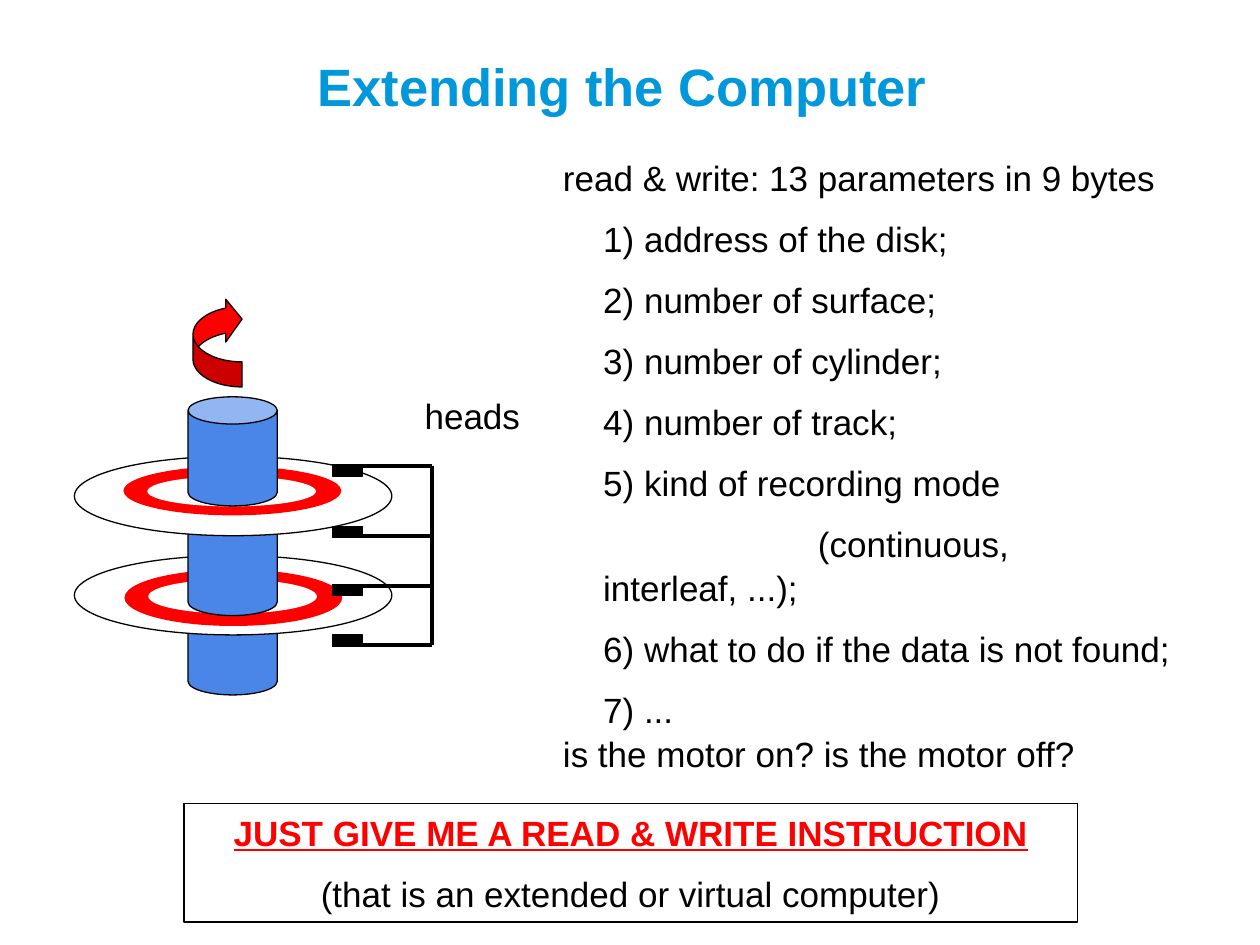
"""Build a slide about a disk drive as an extended computer."""
from pptx import Presentation
from pptx.dml.color import RGBColor
from pptx.enum.shapes import MSO_CONNECTOR, MSO_SHAPE
from pptx.enum.text import MSO_ANCHOR, PP_ALIGN
from pptx.oxml.ns import qn
from pptx.util import Cm, Pt
from lxml import etree

BLACK, WHITE, RED, BLUE, TITLE_BLUE = "000000", "FFFFFF", "FF0000", "4A86E8", "0098DB"


def colour(hex_code):
    return RGBColor.from_string(hex_code)


class DiskSlide:
    font, size, line_spacing, gap = "Arial", 20, 1.04, 10

    def __init__(self, presentation):
        self.slide = presentation.slides.add_slide(presentation.slide_layouts[6])

    def fill_text(self, shape, lines, size=None, ink=BLACK, bold=None, align=PP_ALIGN.LEFT):
        text_frame = shape.text_frame
        text_frame.word_wrap = True
        text_frame.vertical_anchor = MSO_ANCHOR.TOP
        text_frame.text = "\n".join(lines)
        for index, paragraph in enumerate(text_frame.paragraphs):
            paragraph.alignment = align
            paragraph.line_spacing = self.line_spacing
            paragraph.space_before = Pt(self.gap if index else 0)
            for run in paragraph.runs:
                run.font.name = self.font
                run.font.size = Pt(size or self.size)
                run.font.bold = bold
                run.font.color.rgb = colour(ink)
        return text_frame.paragraphs

    def text(self, left, top, width, height, *lines, **style):
        box = self.slide.shapes.add_textbox(Cm(left), Cm(top), Cm(width), Cm(height))
        return self.fill_text(box, lines, **style)

    def shape(self, kind, left, top, width, height, fill=None, outline=BLACK, adjustments=()):
        shape = self.slide.shapes.add_shape(kind, Cm(left), Cm(top), Cm(width), Cm(height))
        shape.shadow.inherit = False
        if fill:
            shape.fill.solid()
            shape.fill.fore_color.rgb = colour(fill)
        else:
            shape.fill.background()
        if outline:
            shape.line.color.rgb = colour(outline)
            shape.line.width = Pt(0.75)
        else:
            shape.line.fill.background()
        for index, value in enumerate(adjustments):
            shape.adjustments[index] = value
        return shape

    def line(self, left, top, right, bottom):
        connector = self.slide.shapes.add_connector(
            MSO_CONNECTOR.STRAIGHT, Cm(left), Cm(top), Cm(right), Cm(bottom))
        connector.line.color.rgb = colour(BLACK)
        connector.line.width = Pt(2.25)
        etree.SubElement(connector._element.spPr, qn("a:effectLst"))

    def spindle(self, top):
        self.shape(MSO_SHAPE.CAN, 3.79, top, 1.8, 2.2, BLUE, adjustments=[0.305])

    def platter(self, top, ring, hole):
        self.shape(MSO_SHAPE.OVAL, 1.5, top, 6.4, 1.6, WHITE)
        self.shape(MSO_SHAPE.OVAL, *ring, fill=RED, outline=None)
        self.shape(MSO_SHAPE.OVAL, *hole, fill=WHITE, outline=None)


def main():
    presentation = Presentation()
    presentation.slide_width, presentation.slide_height = Cm(25.4), Cm(19.05)
    page = DiskSlide(presentation)

    page.text(6.15, 0.91, 14.43, 1.27, "Extending the Computer",
              size=30, ink=TITLE_BLUE, bold=True)
    page.text(8.31, 7.8, 4.39, 1.09, "heads")
    page.text(11.1, 3, 12.8, 1.09, "read & write: 13 parameters in 9 bytes")
    parameters = page.text(
        11.91, 4.22, 12.7, 9.98,
        "1) address of the disk;",
        "2) number of surface;",
        "3) number of cylinder;",
        "4) number of track;",
        "5) kind of recording mode",
        "(continuous, interleaf, ...);",
        "6) what to do if the data is not found;",
        "7) ...")
    parameters[5]._p.get_or_add_pPr().set("indent", str(Cm(4.33)))
    page.text(11.1, 14.6, 12.8, 1.09, "is the motor on? is the motor off?")

    banner = page.shape(MSO_SHAPE.RECTANGLE, 3.71, 16.2, 18.01, 2.39)
    demand, remark = page.fill_text(
        banner,
        ["JUST GIVE ME A READ & WRITE INSTRUCTION", "(that is an extended or virtual computer)"],
        align=PP_ALIGN.CENTER)
    demand.runs[0].font.bold = demand.runs[0].font.underline = True
    demand.runs[0].font.color.rgb = colour(RED)

    page.spindle(11.81)
    page.platter(11.2, (2.51, 11.48, 4.39, 1.14), (2.99, 11.68, 3.4, 0.69))
    page.spindle(10.21)
    page.platter(9.2, (2.49, 9.4, 4.39, 0.99), (2.97, 9.6, 3.4, 0.61))
    page.spindle(8)
    rotation = page.shape(MSO_SHAPE.CURVED_LEFT_ARROW, 3.89, 6, 0.99, 1.8, RED,
                          adjustments=[0.51, 0.871, 0.333])
    rotation.rotation = 180

    arm_left, arm_right = 6.7, 8.71
    arms = [(9.4, 9.4), (10.61, 10.8), (11.81, 11.81), (12.8, 13)]
    for head_top, arm_top in arms:
        page.shape(MSO_SHAPE.RECTANGLE, arm_left, head_top, 0.61, 0.2, BLACK)
        page.line(arm_left, arm_top, arm_right, arm_top)
    page.line(arm_right, arms[0][1], arm_right, arms[-1][1])

    presentation.save("out.pptx")


if __name__ == "__main__":
    main()
